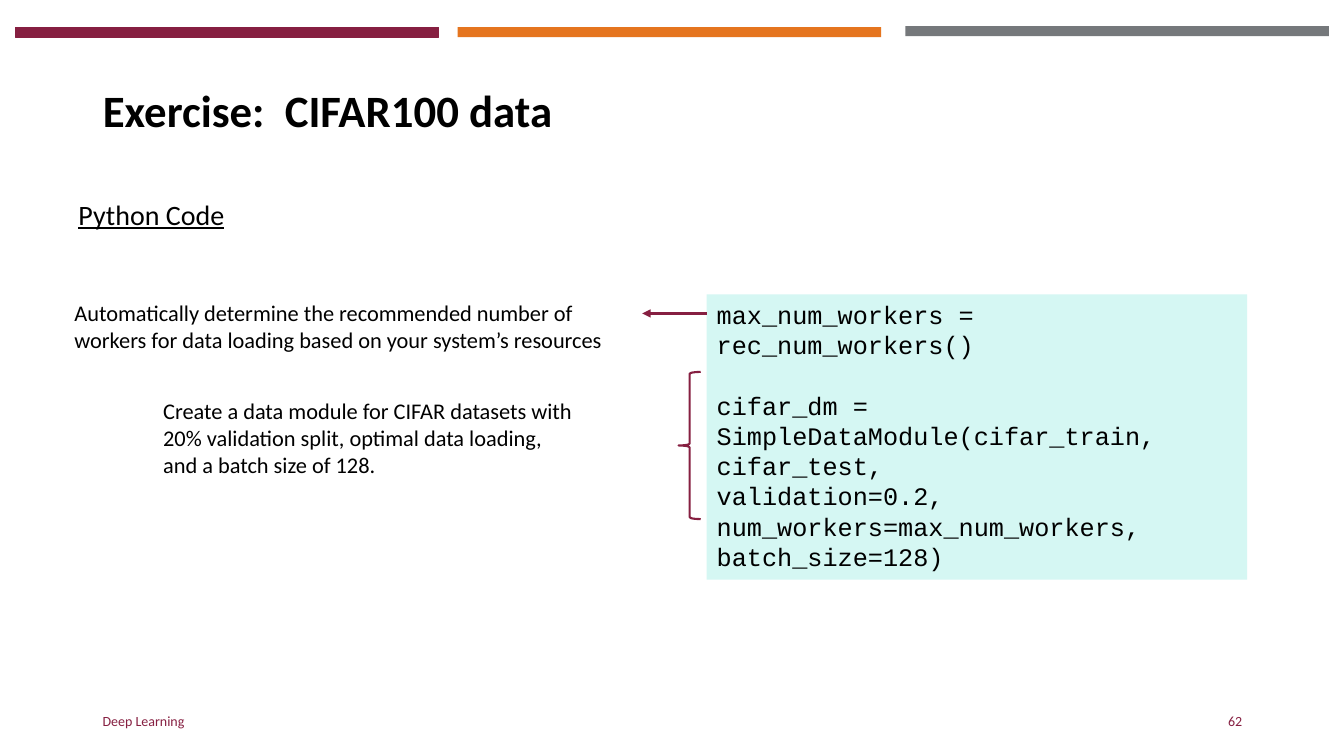
import pptx
import pptx.util
import pptx.dml.color
import pptx.enum.shapes
import pptx.enum.text
import pptx.oxml.ns
from lxml import etree

SHAPE = pptx.enum.shapes.MSO_SHAPE
ANCHOR = pptx.enum.text.MSO_ANCHOR
ALIGN = pptx.enum.text.PP_ALIGN
FIT = pptx.enum.text.MSO_AUTO_SIZE
inch = pptx.util.Inches
qn = pptx.oxml.ns.qn

# Content
TITLE = "Exercise:  CIFAR100 data"
HEADING = "Python Code"
WORKERS_NOTE = ["Automatically determine the recommended number of workers "
                "for data loading based on your system’s resources"]
MODULE_NOTE = ["Create a data module for CIFAR datasets with",
               "20% validation split, optimal data loading,",
               "and a batch size of 128."]
CODE = ["max_num_workers = rec_num_workers()",
        "cifar_dm = SimpleDataModule(cifar_train,",
        "cifar_test,",
        "validation=0.2,",
        "num_workers=max_num_workers,",
        "batch_size=128)"]
FOOTER, PAGE = "Deep Learning", "62"

COLORS = {"maroon": "861F41", "orange": "E5751F", "gray": "75787B",
          "mint": "D5F7F3", "black": "000000"}
# Top bars: left, top, colour
BARS = [(0.15, 0.27, "maroon"), (4.54, 0.27, "orange"), (8.98, 0.26, "gray")]
BAR_W, BAR_H = 4.2, 0.1

# Layout guides
W, H = 13.33, 7.5
MARGIN, CONTENT_W = 0.92, 11.5
RIGHT = MARGIN + CONTENT_W
CODE_X, CODE_Y, CODE_W, CODE_H = 7.01, 2.92, 5.36, 2.83
ARROW_Y, ARROW_END = 3.11, 6.37
FOOT_Y, FOOT_H = 6.95, 0.4


def rgb(name):
    return pptx.dml.color.RGBColor.from_string(COLORS[name])


def put_text(tf, lines, size, color="black", font="Calibri", wrap=True,
             anchor=ANCHOR.TOP, fit=FIT.NONE, para=None, **style):
    frame = {"word_wrap": wrap, "auto_size": fit, "vertical_anchor": anchor}
    for key, value in frame.items():
        setattr(tf, key, value)
    for i, line in enumerate(lines):
        p = tf.paragraphs[0] if i == 0 else tf.add_paragraph()
        for key, value in {"alignment": ALIGN.LEFT, **(para or {})}.items():
            setattr(p, key, value)
        r = p.add_run()
        r.text = line
        fmt = {"name": font, "size": pptx.util.Pt(size), **style}
        for key, value in fmt.items():
            setattr(r.font, key, value)
        r.font.color.rgb = rgb(color)


def add_text(s, box, lines, size, **options):
    tb = s.shapes.add_textbox(*map(inch, box))
    put_text(tb.text_frame, lines, size, **options)


def add_shape(s, kind, box, fill=None, line=None, width=0.75):
    sp = s.shapes.add_shape(kind, *map(inch, box))
    sp.shadow.inherit = False
    if fill:
        sp.fill.solid()
        sp.fill.fore_color.rgb = rgb(fill)
    else:
        sp.fill.background()
    if line:
        sp.line.color.rgb = rgb(line)
        sp.line.width = pptx.util.Pt(width)
    else:
        sp.line.fill.background()
    return sp


prs = pptx.Presentation()
prs.slide_width, prs.slide_height = inch(W), inch(H)
s = prs.slides.add_slide(prs.slide_layouts[5])

# Top bars
for x, y, color in BARS:
    add_shape(s, SHAPE.RECTANGLE, (x, y, BAR_W, BAR_H), color,
              "maroon" if color == "maroon" else None)

# Title
title = s.shapes.title
title_box = {"left": MARGIN, "top": 0.4, "width": CONTENT_W, "height": 1.45}
for key, value in title_box.items():
    setattr(title, key, inch(value))
put_text(title.text_frame, [TITLE], 32, anchor=ANCHOR.MIDDLE, bold=True,
         para={"line_spacing": 0.9})

# Footer and page number
add_text(s, (MARGIN, FOOT_Y, 4.5, FOOT_H), [FOOTER], 10, color="maroon",
         anchor=ANCHOR.MIDDLE)
add_text(s, (RIGHT - 3, FOOT_Y, 3, FOOT_H), [PAGE], 10, color="maroon",
         anchor=ANCHOR.MIDDLE, para={"alignment": ALIGN.RIGHT})

# Code panel, with a one-line gap before the second statement
panel = add_shape(s, SHAPE.RECTANGLE, (CODE_X, CODE_Y, CODE_W, CODE_H), "mint")
put_text(panel.text_frame, CODE, 18, font="Courier New")
panel.text_frame.paragraphs[1].space_before = pptx.util.Pt(21.6)

# Explanations
add_text(s, (0.64, CODE_Y, 5.73, 0.91), WORKERS_NOTE, 16,
         fit=FIT.SHAPE_TO_FIT_TEXT)
add_text(s, (1.52, 3.89, 5.25, 0.91), MODULE_NOTE, 16, wrap=False,
         fit=FIT.SHAPE_TO_FIT_TEXT)
add_text(s, (0.68, 1.76, 2.22, 0.56), [HEADING], 20, underline=True,
         anchor=ANCHOR.MIDDLE, fit=FIT.SHAPE_TO_FIT_TEXT,
         para={"line_spacing": 1.5, "space_after": pptx.util.Pt(12)})

# Arrow and brace linking code to explanations
arrow = s.shapes.add_connector(
    pptx.enum.shapes.MSO_CONNECTOR.STRAIGHT,
    *map(inch, (CODE_X, ARROW_Y, ARROW_END, ARROW_Y)))
arrow.line.color.rgb = rgb("maroon")
arrow.line.width = pptx.util.Pt(1.5)
etree.SubElement(arrow.line._get_or_add_ln(), qn("a:tailEnd"), type="triangle")
etree.SubElement(arrow._element.spPr, qn("a:effectLst"))
add_shape(s, SHAPE.LEFT_BRACE, (6.73, 3.69, 0.22, 1.46), line="maroon",
          width=1.5)

prs.save("out.pptx")
